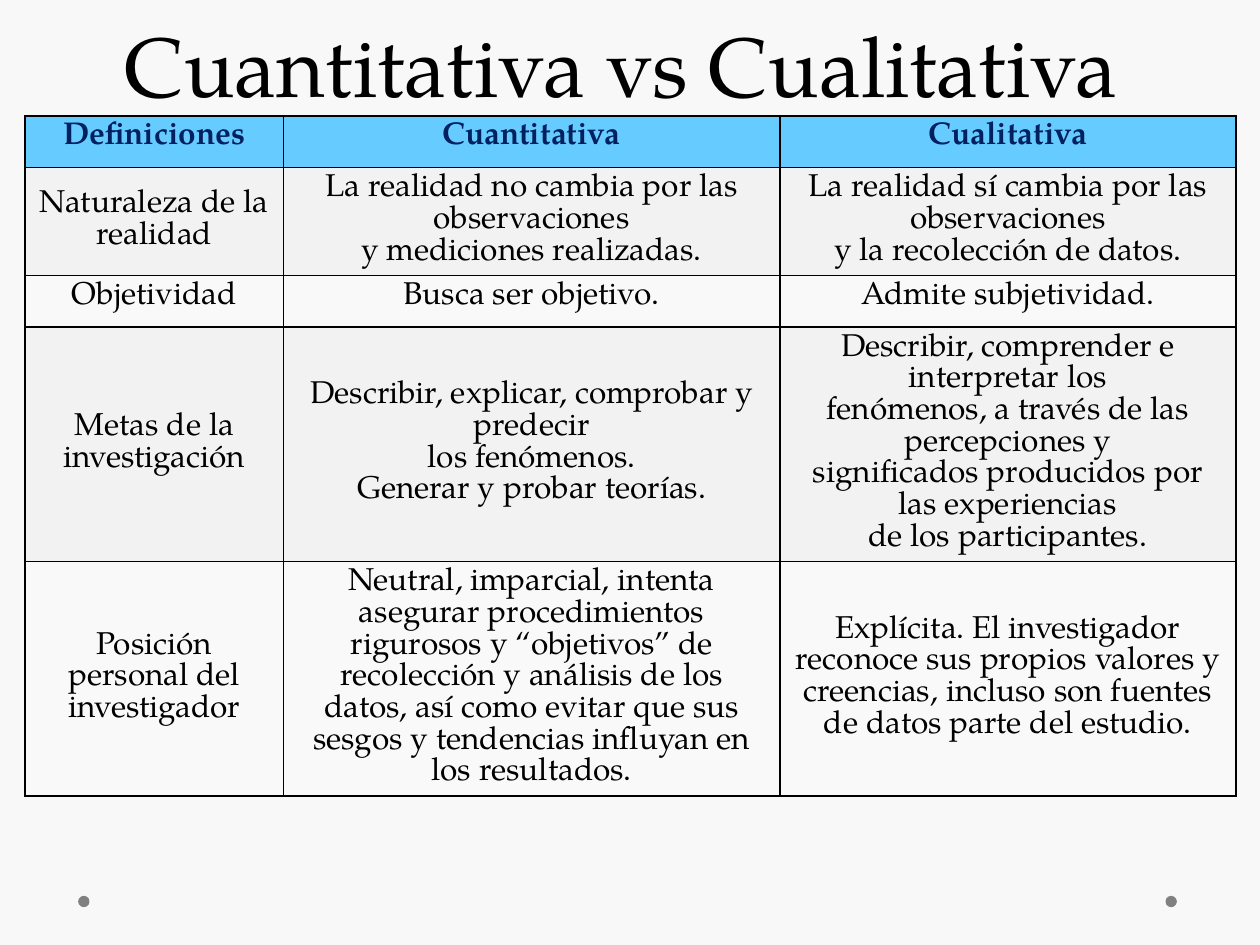
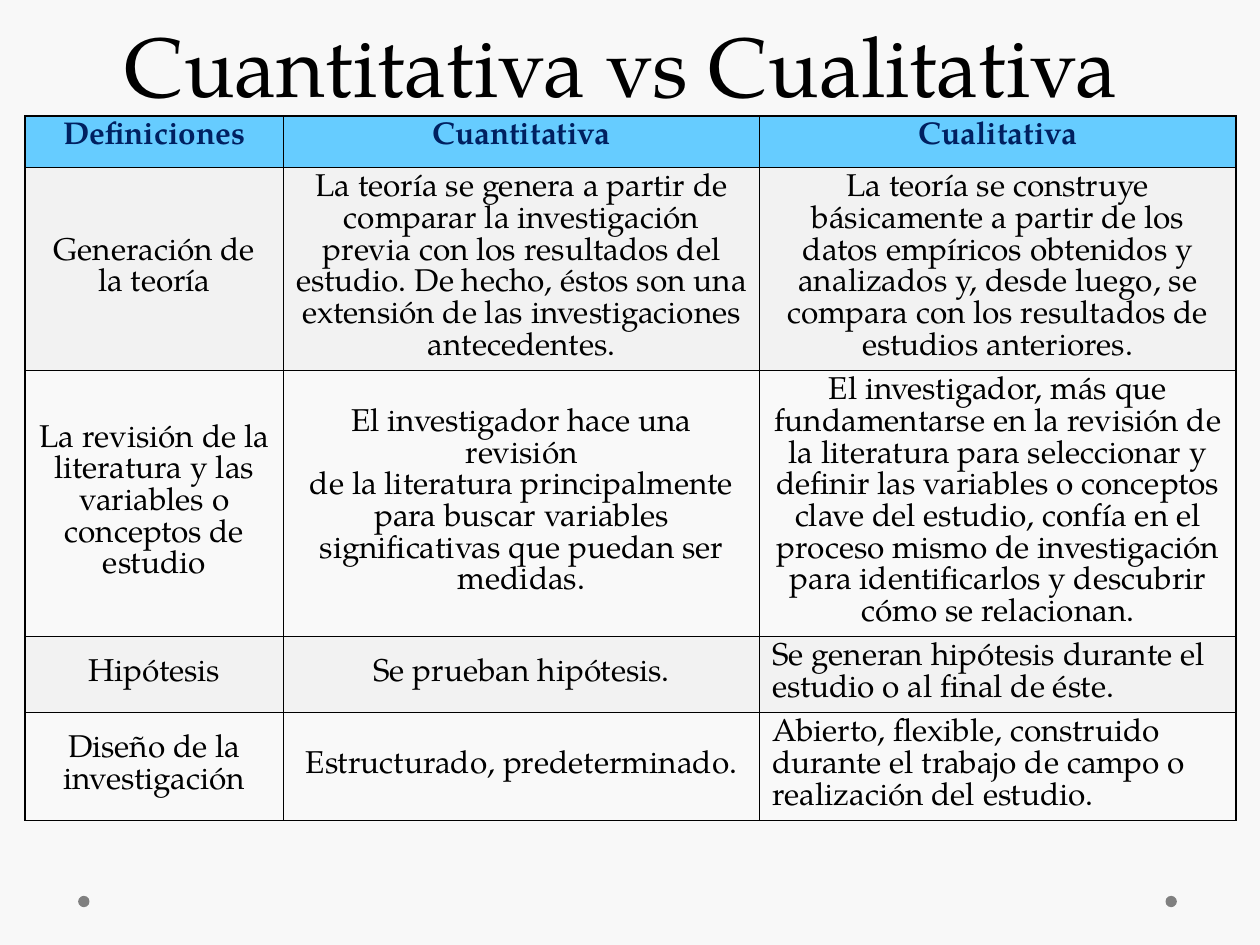
from dataclasses import dataclass

from lxml.etree import SubElement
from pptx import Presentation
from pptx.dml.color import RGBColor
from pptx.enum.shapes import MSO_SHAPE
from pptx.enum.text import MSO_ANCHOR, MSO_AUTO_SIZE, PP_ALIGN
from pptx.oxml.ns import qn
from pptx.util import Inches, Pt

FONT = "TeX Gyre Pagella"
BLACK, NAVY, GRAY = "000000", "002060", "808080"
PAPER, HEAD_FILL = "F8F8F8", "66CCFF"
BAND_FILLS = ("F2F2F2", "F9F9F9")
TITLE = "Cuantitativa vs Cualitativa"
HEADINGS = ("Definiciones", "Cuantitativa", "Cualitativa")
TABLE_LEFT, TABLE_TOP, ROW_HEIGHT = 0.2, 0.92, 0.41
DOT_SIZE, DOT_TOP, DOT_LEFTS = 0.09, 7.11, (9.25, 0.62)


@dataclass
class Row:
    """One comparison row; a line break in a text starts a new paragraph."""
    texts: tuple[str, str, str]
    anchor: MSO_ANCHOR = MSO_ANCHOR.MIDDLE
    last_align: PP_ALIGN = PP_ALIGN.CENTER


@dataclass
class Comparison:
    """The table of one slide; rows grow from their minimum to fit the text."""
    widths: tuple[float, float, float]
    height: float
    rows: list[Row]


COMPARISONS = [
    Comparison((2.05, 3.94, 3.62), 6.21, [
        Row(("Naturaleza de la realidad",
             "La realidad no cambia por las observaciones\n"
             "y mediciones realizadas.",
             "La realidad sí cambia por las observaciones\n"
             "y la recolección de datos.")),
        Row(("Objetividad", "Busca ser objetivo.", "Admite subjetividad."),
            anchor=MSO_ANCHOR.TOP),
        Row(("Metas de la investigación",
             "Describir, explicar, comprobar y predecir\n"
             "los fenómenos.\n"
             "Generar y probar teorías.",
             "Describir, comprender e interpretar los\n"
             "fenómenos, a través de las percepciones y\n"
             "significados producidos por las experiencias\n"
             "de los participantes.")),
        Row(("Posición personal del investigador",
             "Neutral, imparcial, intenta asegurar procedimientos rigurosos "
             "y “objetivos” de recolección y análisis de los datos, así como "
             "evitar que sus sesgos y tendencias influyan en los resultados.",
             "Explícita. El investigador reconoce sus propios valores y "
             "creencias, incluso son fuentes de datos parte del estudio.")),
    ]),
    Comparison((2.05, 3.78, 3.78), 6.51, [
        Row(("Generación de la teoría",
             "La teoría se genera a partir de comparar la investigación "
             "previa con los resultados del estudio. De hecho, éstos son una "
             "extensión de las investigaciones antecedentes.",
             "La teoría se construye básicamente a partir de los datos "
             "empíricos obtenidos y analizados y, desde luego, se compara "
             "con los resultados de estudios anteriores.")),
        Row(("La revisión de la literatura y las\n"
             "variables o conceptos de estudio",
             "El investigador hace una revisión\n"
             "de la literatura principalmente para buscar variables "
             "significativas que puedan ser medidas.",
             "El investigador, más que fundamentarse en la revisión de la "
             "literatura para seleccionar y definir las variables o conceptos "
             "clave del estudio, confía en el proceso mismo de investigación "
             "para identificarlos y descubrir cómo se relacionan.")),
        Row(("Hipótesis", "Se prueban hipótesis.",
             "Se generan hipótesis durante el estudio o al final de éste."),
            last_align=PP_ALIGN.LEFT),
        Row(("Diseño de la investigación", "Estructurado, predeterminado.",
             "Abierto, flexible, construido durante el trabajo de campo o "
             "realización del estudio."),
            last_align=PP_ALIGN.LEFT),
    ]),
]


def rgb(color: str) -> RGBColor:
    """Turn a hex string into a colour."""
    return RGBColor.from_string(color)


def set_attrs(obj, values: dict) -> None:
    """Set each named attribute of an object."""
    for name, value in values.items():
        setattr(obj, name, value)


def write(tf, text: str, align: PP_ALIGN, size: float, color: str,
          bold: bool = False, line_spacing=None) -> None:
    """Write one paragraph per line of text, all in one format."""
    for i, line in enumerate(text.split("\n")):
        p = tf.paragraphs[0] if i == 0 else tf.add_paragraph()
        set_attrs(p, {"alignment": align, "line_spacing": line_spacing})
        r = p.add_run()
        r.text = line
        set_attrs(r.font, {"name": FONT, "size": Pt(size), "bold": bold})
        r.font.color.rgb = rgb(color)


def add_borders(cell) -> None:
    """Draw a thin black line on all four sides of a cell."""
    tc_pr = cell._tc.get_or_add_tcPr()
    for side in ("lnL", "lnR", "lnT", "lnB"):
        ln = SubElement(tc_pr, qn(f"a:{side}"), w=str(Pt(1)))
        fill = SubElement(ln, qn("a:solidFill"))
        SubElement(fill, qn("a:srgbClr"), val=BLACK)


def add_dots(slide, layout) -> None:
    """Draw the footer dots and move them to the layout all slides share."""
    for i, left in enumerate(DOT_LEFTS):
        sp = slide.shapes.add_shape(
            MSO_SHAPE.OVAL, Inches(left), Inches(DOT_TOP),
            Inches(DOT_SIZE), Inches(DOT_SIZE))
        sp.shadow.inherit = False
        sp.fill.solid()
        sp.fill.fore_color.rgb = rgb(GRAY)
        sp.line.fill.background()
        sp.element.nvSpPr.cNvPr.set("id", str(100 + i))
        layout.shapes.element.append(sp.element)


def add_title(slide) -> None:
    """Place and fill the title placeholder."""
    sp = slide.shapes.title
    set_attrs(sp, {"left": Inches(0.43), "top": Inches(0.05),
                   "width": Inches(9), "height": Inches(0.91)})
    tf = sp.text_frame
    set_attrs(tf, {"vertical_anchor": MSO_ANCHOR.BOTTOM, "word_wrap": True,
                   "auto_size": MSO_AUTO_SIZE.NONE})
    write(tf, TITLE, PP_ALIGN.CENTER, 48, BLACK, line_spacing=Pt(58))


def add_comparison(slide, comparison: Comparison) -> None:
    """Draw the heading row and the banded rows of a comparison table."""
    rows = [Row(HEADINGS, MSO_ANCHOR.TOP), *comparison.rows]
    frame = slide.shapes.add_table(
        len(rows), len(HEADINGS), Inches(TABLE_LEFT), Inches(TABLE_TOP),
        Inches(sum(comparison.widths)), Inches(ROW_HEIGHT * len(rows)))
    table = frame.table
    for column, width in zip(table.columns, comparison.widths):
        column.width = Inches(width)
    for i, row in enumerate(rows):
        is_head = i == 0
        table.rows[i].height = Inches(ROW_HEIGHT)
        aligns = (PP_ALIGN.CENTER, PP_ALIGN.CENTER, row.last_align)
        for j, (text, align) in enumerate(zip(row.texts, aligns)):
            cell = table.cell(i, j)
            add_borders(cell)
            cell.fill.solid()
            cell.fill.fore_color.rgb = rgb(
                HEAD_FILL if is_head else BAND_FILLS[(i - 1) % 2])
            cell.vertical_anchor = row.anchor
            write(cell.text_frame, text, align, 18,
                  NAVY if is_head else BLACK, bold=is_head)
    frame.height = Inches(comparison.height)


def main() -> None:
    """Build the presentation."""
    prs = Presentation()
    set_attrs(prs, {"slide_width": Inches(10), "slide_height": Inches(7.5)})
    background = prs.slide_master.background.fill
    background.solid()
    background.fore_color.rgb = rgb(PAPER)
    layout = prs.slide_layouts.get_by_name("Title Only")
    for i, comparison in enumerate(COMPARISONS):
        slide = prs.slides.add_slide(layout)
        if i == 0:
            add_dots(slide, layout)
        add_title(slide)
        add_comparison(slide, comparison)
    prs.save("out.pptx")


main()
